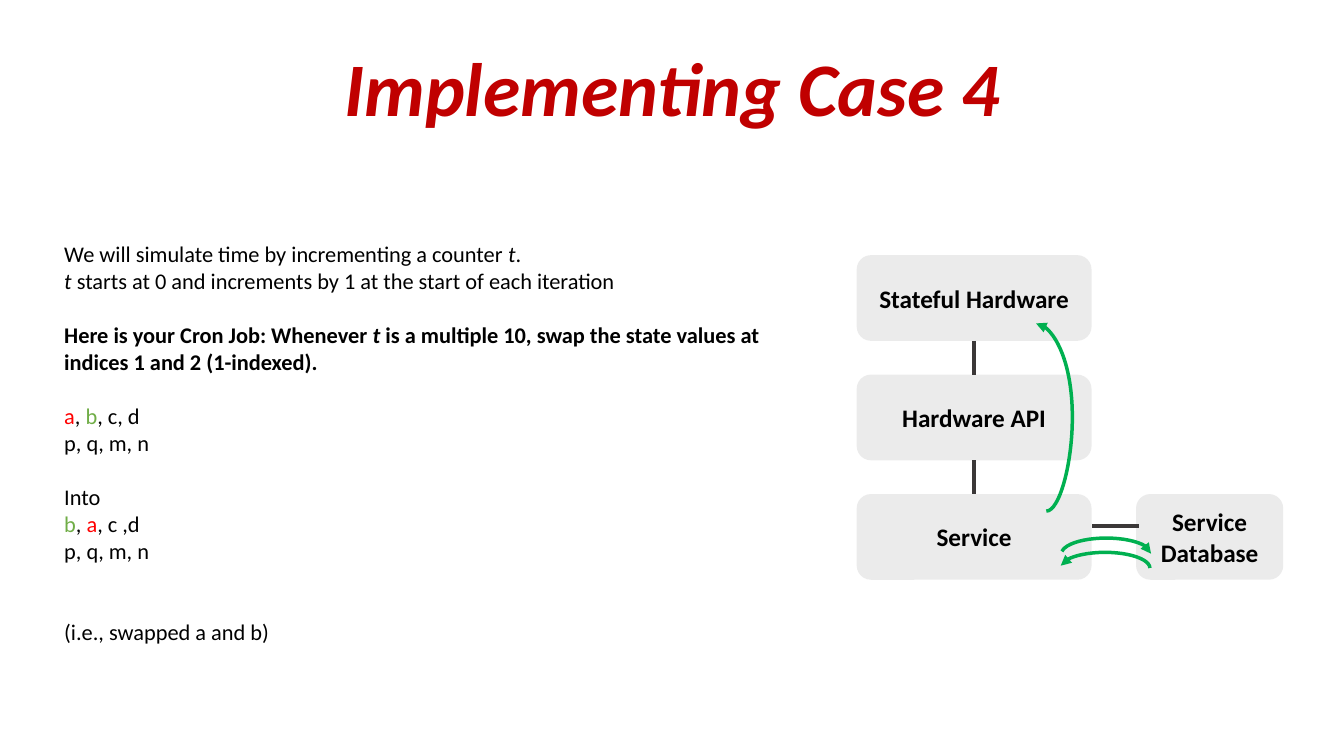
from pptx import Presentation
from pptx import util as u
from pptx.dml.color import RGBColor
from pptx.enum import shapes, text
from pptx.oxml import ns
from lxml import etree

BLACK = RGBColor(0x00, 0x00, 0x00)
RED = RGBColor(0xFF, 0x00, 0x00)
LEAF = RGBColor(0x70, 0xAD, 0x47)
GREEN = RGBColor(0x00, 0xB0, 0x50)
CRIMSON = RGBColor(0xC0, 0x00, 0x00)
GREY = RGBColor(0xD9, 0xD9, 0xD9)
CHARCOAL = RGBColor(0x3B, 0x38, 0x38)

LINE = 19.5
BOX_LEFT, BOX_TOP, BOX_WIDTH, BOX_HEIGHT, BOX_PITCH = 21.59, 6.43, 5.92, 2.16, 3.01
LAYERS = ["Stateful Hardware", "Hardware API", "Service"]

PLAIN, ITALIC, BOLD, BOLD_ITALIC = {}, {"italic": True}, {"bold": True}, {"bold": True, "italic": True}
RED_TEXT, LEAF_TEXT = {"color": RED}, {"color": LEAF}

EXPLANATION = [
    (0, [("We will simulate time by incrementing a counter ", PLAIN), ("t", ITALIC), (".", PLAIN)]),
    (0, [("t", ITALIC), (" starts at 0 and increments by 1 at the start of each iteration", PLAIN)]),
    (1, [("Here is your Cron Job: Whenever ", BOLD), ("t", BOLD_ITALIC),
         (" is a multiple 10, swap the state values at indices 1 and 2 (1-indexed).", BOLD)]),
    (1, [("a", RED_TEXT), (", ", PLAIN), ("b", LEAF_TEXT), (", c, d", PLAIN)]),
    (0, [("p, q, m, n", PLAIN)]),
    (1, [("Into", PLAIN)]),
    (0, [("b", LEAF_TEXT), (", ", PLAIN), ("a", RED_TEXT), (", c ,d", PLAIN)]),
    (0, [("p, q, m, n", PLAIN)]),
    (2, [("(i.e., swapped a and b)", PLAIN)]),
]


def add_run(paragraph, words, size, color=BLACK, bold=False, italic=False):
    run = paragraph.add_run()
    run.text = words
    font = run.font
    font.name, font.size, font.bold, font.italic = "Calibri", u.Pt(size), bold, italic
    font.color.rgb = color


def add_text_box(slide, left, top, width, height):
    frame = slide.shapes.add_textbox(u.Cm(left), u.Cm(top), u.Cm(width), u.Cm(height)).text_frame
    frame.word_wrap = True
    return frame


def add_title(slide, words):
    frame = add_text_box(slide, 2.34, 0.48, 29.21, 3.68)
    frame.vertical_anchor = text.MSO_ANCHOR.MIDDLE
    paragraph = frame.paragraphs[0]
    paragraph.alignment = text.PP_ALIGN.CENTER
    paragraph.line_spacing = 0.9
    add_run(paragraph, words, 54, CRIMSON, bold=True, italic=True)


def add_explanation(slide):
    frame = add_text_box(slide, 1.37, 5.92, 18.54, 10.52)
    for index, (gap, runs) in enumerate(EXPLANATION):
        paragraph = frame.add_paragraph() if index else frame.paragraphs[0]
        if gap:
            paragraph.space_before = u.Pt(gap * LINE)
        for words, style in runs:
            add_run(paragraph, words, 16, **style)


def add_box(slide, words, left, top, width):
    shape = slide.shapes.add_shape(shapes.MSO_SHAPE.ROUNDED_RECTANGLE,
                                   u.Cm(left), u.Cm(top), u.Cm(width), u.Cm(BOX_HEIGHT))
    shape.shadow.inherit = False
    shape.fill.solid()
    shape.fill.fore_color.rgb = GREY
    color = shape.fill._xPr.find(".//" + ns.qn("a:srgbClr"))
    etree.SubElement(color, ns.qn("a:alpha"), val="50000")
    shape.line.fill.background()
    frame = shape.text_frame
    frame.word_wrap = True
    frame.vertical_anchor = text.MSO_ANCHOR.MIDDLE
    paragraph = frame.paragraphs[0]
    paragraph.alignment = text.PP_ALIGN.CENTER
    add_run(paragraph, words, 18, bold=True)


def style_line(shape, color, width, arrow=None):
    shape.line.color.rgb = color
    shape.line.width = u.Pt(width)
    if arrow:
        etree.SubElement(shape.line._get_or_add_ln(), ns.qn("a:" + arrow), type="triangle")


def add_connector(slide, kind, start, end, color, width, arrow=None):
    points = [u.Cm(value) for value in (*start, *end)]
    connector = slide.shapes.add_connector(kind, *points)
    style_line(connector, color, width, arrow)
    etree.SubElement(connector._element.spPr, ns.qn("a:effectLst"))
    return connector


def add_link(slide, start, end):
    add_connector(slide, shapes.MSO_CONNECTOR.STRAIGHT, start, end, CHARCOAL, 3)


def add_curve(slide, start, end, bend):
    curve = add_connector(slide, shapes.MSO_CONNECTOR.CURVE, start, end, GREEN, 2.5, "headEnd")
    geometry = curve._element.spPr.find(ns.qn("a:prstGeom"))
    guides = geometry.find(ns.qn("a:avLst"))
    if guides is None:
        guides = etree.SubElement(geometry, ns.qn("a:avLst"))
    etree.SubElement(guides, ns.qn("a:gd"), name="adj1", fmla=f"val {round(bend * 100000)}")


def add_arc(slide, left, top, arrow):
    arc = slide.shapes.add_shape(shapes.MSO_SHAPE.ARC, u.Cm(left), u.Cm(top), u.Cm(2.26), u.Cm(0.79))
    arc.shadow.inherit = False
    arc.adjustments[0], arc.adjustments[1] = 109.82, 0
    arc.fill.background()
    style_line(arc, GREEN, 2.5, arrow)


def main():
    presentation = Presentation()
    presentation.slide_width, presentation.slide_height = u.Cm(33.87), u.Cm(19.05)
    slide = presentation.slides.add_slide(presentation.slide_layouts[6])

    add_explanation(slide)
    tops = [BOX_TOP + BOX_PITCH * index for index in range(len(LAYERS))]
    for words, top in zip(LAYERS, tops):
        add_box(slide, words, BOX_LEFT, top, BOX_WIDTH)
    add_box(slide, "Service Database", 28.63, tops[-1], 3.71)

    add_curve(slide, (26.11, 8.15), (26.37, 12.88), 3.52)
    add_arc(slide, 26.75, 13.56, "tailEnd")
    add_arc(slide, 26.72, 13.92, "headEnd")

    add_link(slide, (27.53, 13.26), (28.7, 13.26))
    center = BOX_LEFT + BOX_WIDTH / 2
    for upper, lower in zip(tops, tops[1:]):
        add_link(slide, (center, upper + BOX_HEIGHT), (center, lower))

    add_title(slide, "Implementing Case 4")
    presentation.save("out.pptx")


if __name__ == "__main__":
    main()
